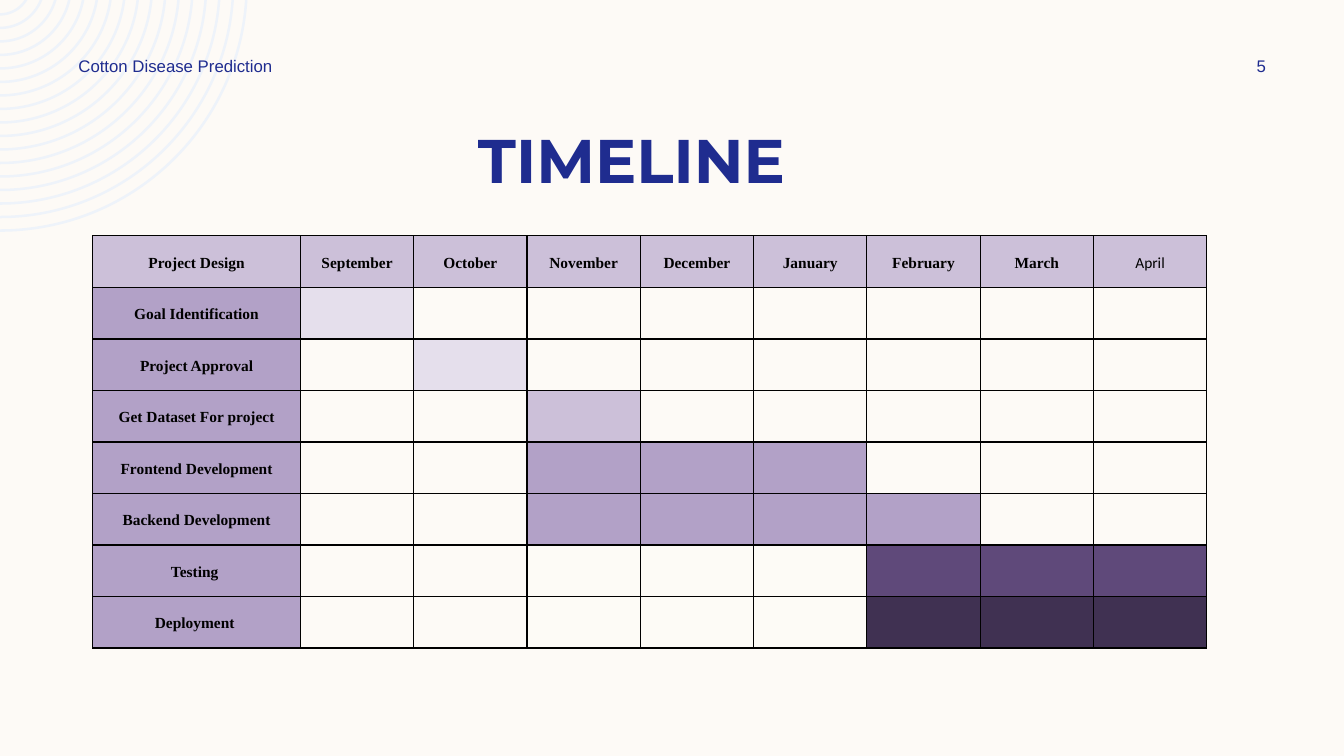
import math
from lxml import etree
from pptx import Presentation
from pptx import util as u
from pptx.dml.color import RGBColor
from pptx.enum import text
from pptx.oxml import ns

hues = {
    "cream": "FDFAF6", "ring": "EEF3FA", "navy": "1F2C8F", "black": "000000",
    "pale": "E5DFEC", "light": "CCC0D9", "mid": "B2A1C7",
    "deep": "5F497A", "dark": "403152", "ivory": "FDFBF6",
}


def style(para, size, face, hue, bold, align):
    para.alignment = align
    for run in para.runs:
        run.font.size = u.Pt(size)
        run.font.name = face
        run.font.bold = bold
        run.font.color.rgb = RGBColor.from_string(hues[hue])


def paint(fill, hue):
    fill.solid()
    fill.fore_color.rgb = RGBColor.from_string(hues[hue])


left, mid = text.PP_ALIGN.LEFT, text.PP_ALIGN.CENTER
deck = Presentation()
deck.slide_width = u.Inches(13.33)
deck.slide_height = u.Inches(7.5)
slide = deck.slides.add_slide(deck.slide_layouts[6])
paint(slide.background.fill, "cream")

drop = 0.16
rings = None
for step in range(17):
    outer = 2.46 - 0.134 * step
    edge = []
    for reach in (outer, outer - 0.025):
        turn = math.asin(drop / reach)
        pull = reach * 4 / 3 * math.tan((math.pi / 2 - turn) / 4)
        x, y = reach * math.cos(turn), reach - drop
        curve = [(x, 0), (x - pull * math.sin(turn), pull * math.cos(turn)), (pull, y), (0, y)]
        edge += curve if reach == outer else curve[::-1]
    edge = [(u.Inches(x), u.Inches(y)) for x, y in edge]
    if rings is None:
        rings = slide.shapes.build_freeform(*edge[0], scale=1.0)
    else:
        rings.move_to(*edge[0])
    rings.add_line_segments(edge[1:], close=True)
arcs = rings.convert_to_shape()
arcs.shadow.inherit = False
paint(arcs.fill, "ring")
arcs.line.fill.background()

for move in list(arcs._element.iter(ns.qn("a:moveTo"))):
    lines = list(move.itersiblings())[:7]
    for trio in (lines[:3], lines[4:]):
        bend = etree.Element(ns.qn("a:cubicBezTo"))
        trio[0].addprevious(bend)
        for line in trio:
            bend.append(line[0])
            line.getparent().remove(line)

top, centre = text.MSO_ANCHOR.TOP, text.MSO_ANCHOR.MIDDLE
labels = [
    ("Cotton Disease Prediction", 0.68, 0.5, 3.5, 0.3, 12, "Arial", False, left, centre),
    ("5", 11.97, 0.5, 1.08, 0.3, 12, "Arial", False, mid, centre),
    ("TIMELINE", 0.43, 1.16, 11.67, 0.84, 44, "Montserrat", True, mid, top),
]
for words, x, y, w, h, size, face, bold, align, anchor in labels:
    box = slide.shapes.add_textbox(u.Inches(x), u.Inches(y), u.Inches(w), u.Inches(h))
    frame = box.text_frame
    frame.word_wrap = True
    frame.vertical_anchor = anchor
    frame.text = words
    style(frame.paragraphs[0], size, face, "navy", bold, align)

heads = ["Project Design", "September", "October", "November", "December",
         "January", "February", "March", "April"]
tasks = [
    ("Goal Identification", {1: "pale"}),
    ("Project Approval", {2: "pale"}),
    ("Get Dataset For project", {3: "light"}),
    ("Frontend Development", dict.fromkeys(range(3, 6), "mid")),
    ("Backend Development", dict.fromkeys(range(3, 7), "mid")),
    ("Testing ", dict.fromkeys(range(3, 6), "ivory") | dict.fromkeys(range(6, 9), "deep")),
    ("Deployment ", dict.fromkeys(range(3, 6), "ivory") | dict.fromkeys(range(6, 9), "dark")),
]
rows = [(heads, dict.fromkeys(range(9), "light"))]
rows += [([task] + [""] * 8, {0: "mid"} | bars) for task, bars in tasks]

wide, tall, first = 11.05, 4.09, 2.06
table = slide.shapes.add_table(len(rows), len(heads), u.Inches(0.92), u.Inches(2.34),
                               u.Inches(wide), u.Inches(tall)).table
table.first_row = False
table.horz_banding = False
for c, col in enumerate(table.columns):
    col.width = u.Inches((wide - first) / 8 if c else first)

for r, (words, fills) in enumerate(rows):
    table.rows[r].height = u.Inches(tall / len(rows))
    for c, word in enumerate(words):
        cell = table.cell(r, c)
        cell.vertical_anchor = centre
        cell.margin_left = cell.margin_right = u.Inches(0.07)
        cell.margin_top = cell.margin_bottom = 0
        props = cell._tc.get_or_add_tcPr()
        for side in ("a:lnL", "a:lnR", "a:lnT", "a:lnB"):
            line = etree.SubElement(props, ns.qn(side), w=str(u.Pt(1)))
            ink = etree.SubElement(line, ns.qn("a:solidFill"))
            etree.SubElement(ink, ns.qn("a:srgbClr"), val=hues["black"])
        if c in fills:
            paint(cell.fill, fills[c])
        else:
            cell.fill.background()
        if word:
            cell.text_frame.text = word
            para = cell.text_frame.paragraphs[0]
            para.line_spacing = 1.15
            para.space_after = u.Pt(6)
            plain = word == "April"
            face = "Calibri" if plain else "Times New Roman"
            style(para, 11, face, "black", not plain, mid)

deck.save("out.pptx")
